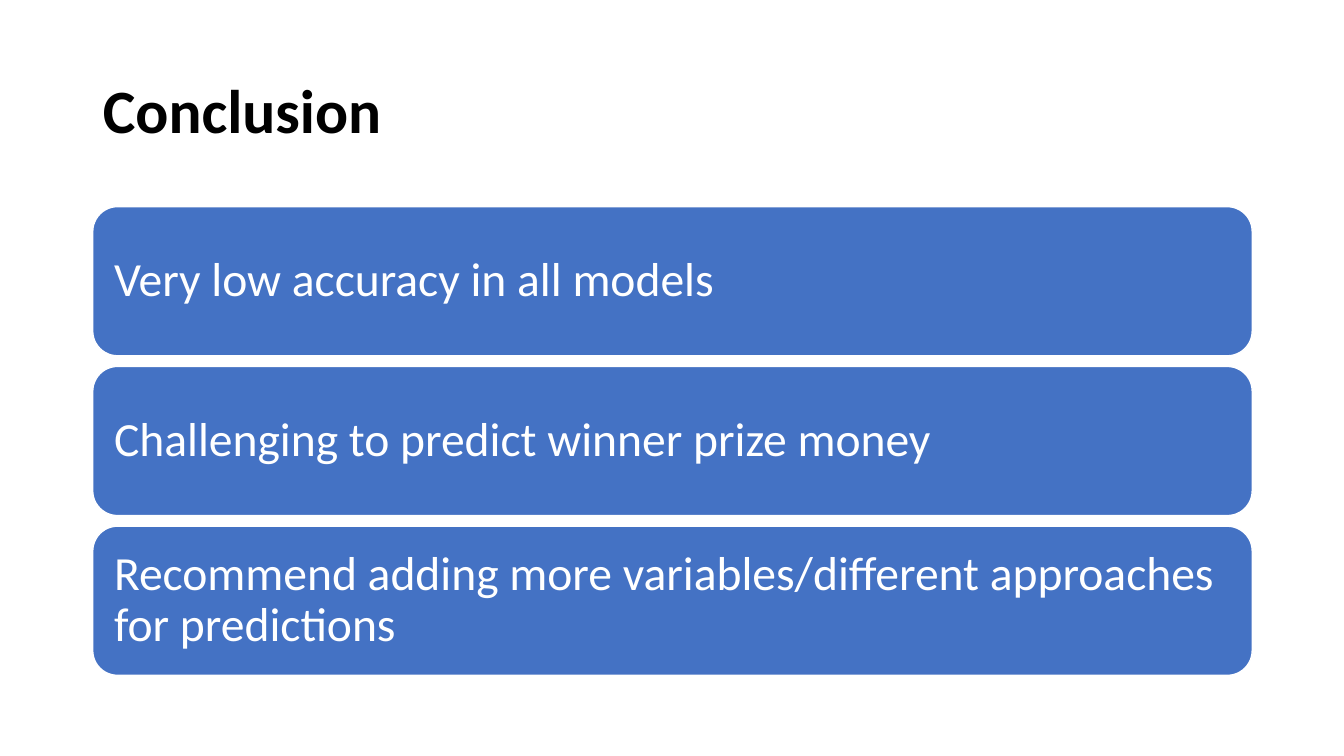
import pptx
import pptx.util
import pptx.dml.color
import pptx.enum.shapes
import pptx.enum.text
from pptx.util import Inches

TITLE = "Conclusion"
FINDINGS = [
    "Very low accuracy in all models",
    "Challenging to predict winner prize money",
    "Recommend adding more variables/different approaches for predictions",
]
COLOURS = {"title": "000000", "bar": "4472C4", "white": "FFFFFF"}
FONT = "Calibri"

LEFT, WIDTH = 0.92, 11.5
BARS_TOP, BAR_HEIGHT, BAR_GAP = 2.05, 1.48, 0.105
BAR_INSET = 0.14


def rgb(name):
    return pptx.dml.color.RGBColor.from_string(COLOURS[name])


def write(shape, text, *, size, colour, bold=False, inset=None):
    """Fill a shape with one left-aligned, vertically centred paragraph."""
    frame = shape.text_frame
    frame.word_wrap = True
    frame.auto_size = pptx.enum.text.MSO_AUTO_SIZE.NONE
    frame.vertical_anchor = pptx.enum.text.MSO_ANCHOR.MIDDLE
    if inset is not None:
        frame.margin_left = frame.margin_right = Inches(inset)
        frame.margin_top = frame.margin_bottom = Inches(inset)
    paragraph = frame.paragraphs[0]
    paragraph.alignment = pptx.enum.text.PP_ALIGN.LEFT
    paragraph.line_spacing = 0.9
    run = paragraph.add_run()
    run.text = text
    run.font.name = FONT
    run.font.size = pptx.util.Pt(size)
    run.font.bold = bold
    run.font.color.rgb = rgb(colour)


def add_finding(slide, index, finding):
    top = BARS_TOP + index * (BAR_HEIGHT + BAR_GAP)
    bar = slide.shapes.add_shape(
        pptx.enum.shapes.MSO_SHAPE.ROUNDED_RECTANGLE,
        Inches(LEFT), Inches(top), Inches(WIDTH), Inches(BAR_HEIGHT))
    bar.shadow.inherit = False
    bar.fill.solid()
    bar.fill.fore_color.rgb = rgb("bar")
    bar.line.color.rgb = rgb("white")
    bar.line.width = pptx.util.Pt(1)
    write(bar, finding, size=34, colour="white", inset=BAR_INSET)


def main():
    deck = pptx.Presentation()
    deck.slide_width, deck.slide_height = Inches(13.33), Inches(7.5)
    slide = deck.slides.add_slide(deck.slide_layouts.get_by_name("Title Only"))

    title = slide.shapes.title
    title.left, title.top = Inches(LEFT), Inches(0.4)
    title.width, title.height = Inches(WIDTH), Inches(1.45)
    write(title, TITLE, size=44, colour="title", bold=True)

    for index, finding in enumerate(FINDINGS):
        add_finding(slide, index, finding)
    deck.save("out.pptx")


if __name__ == "__main__":
    main()
